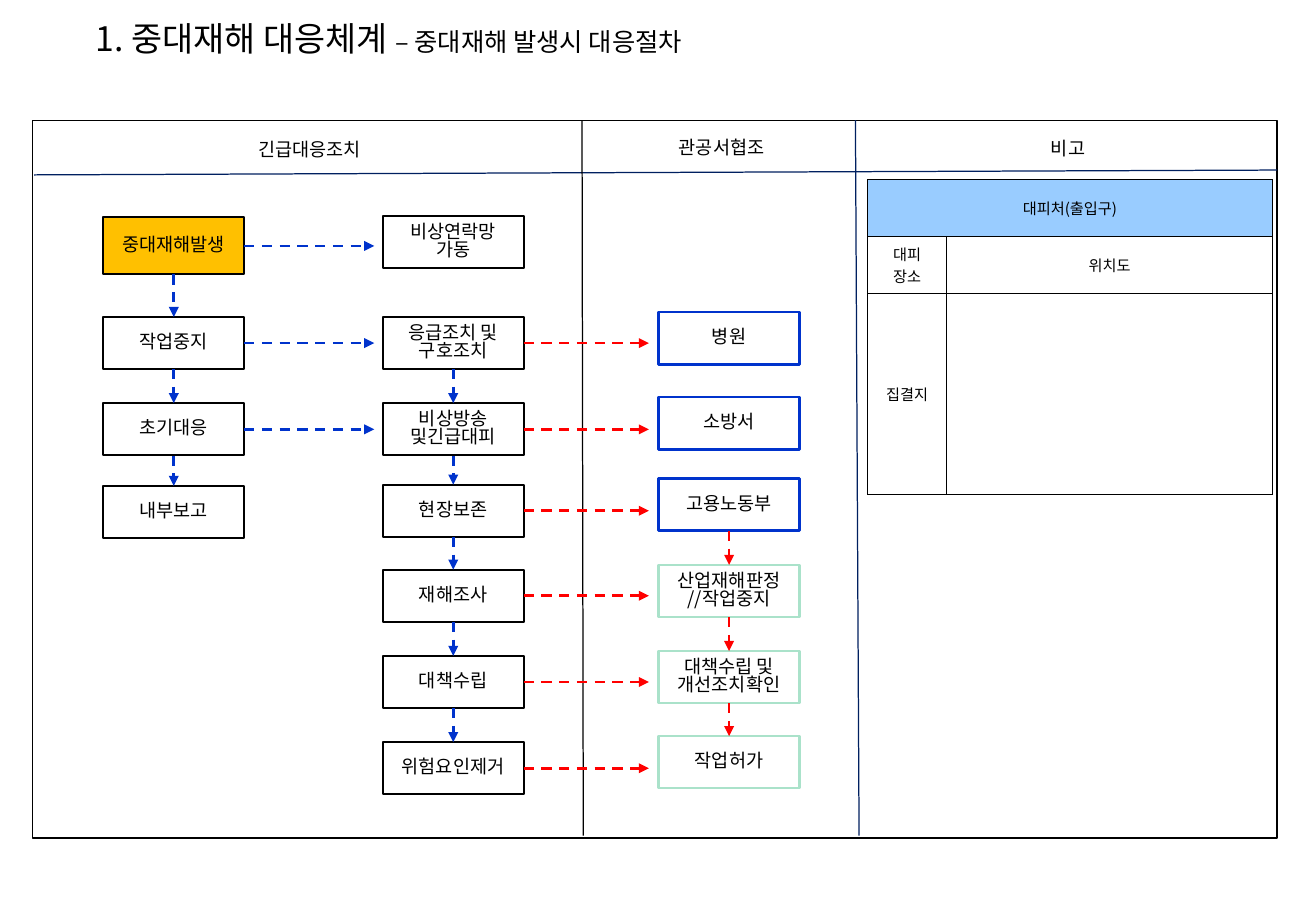
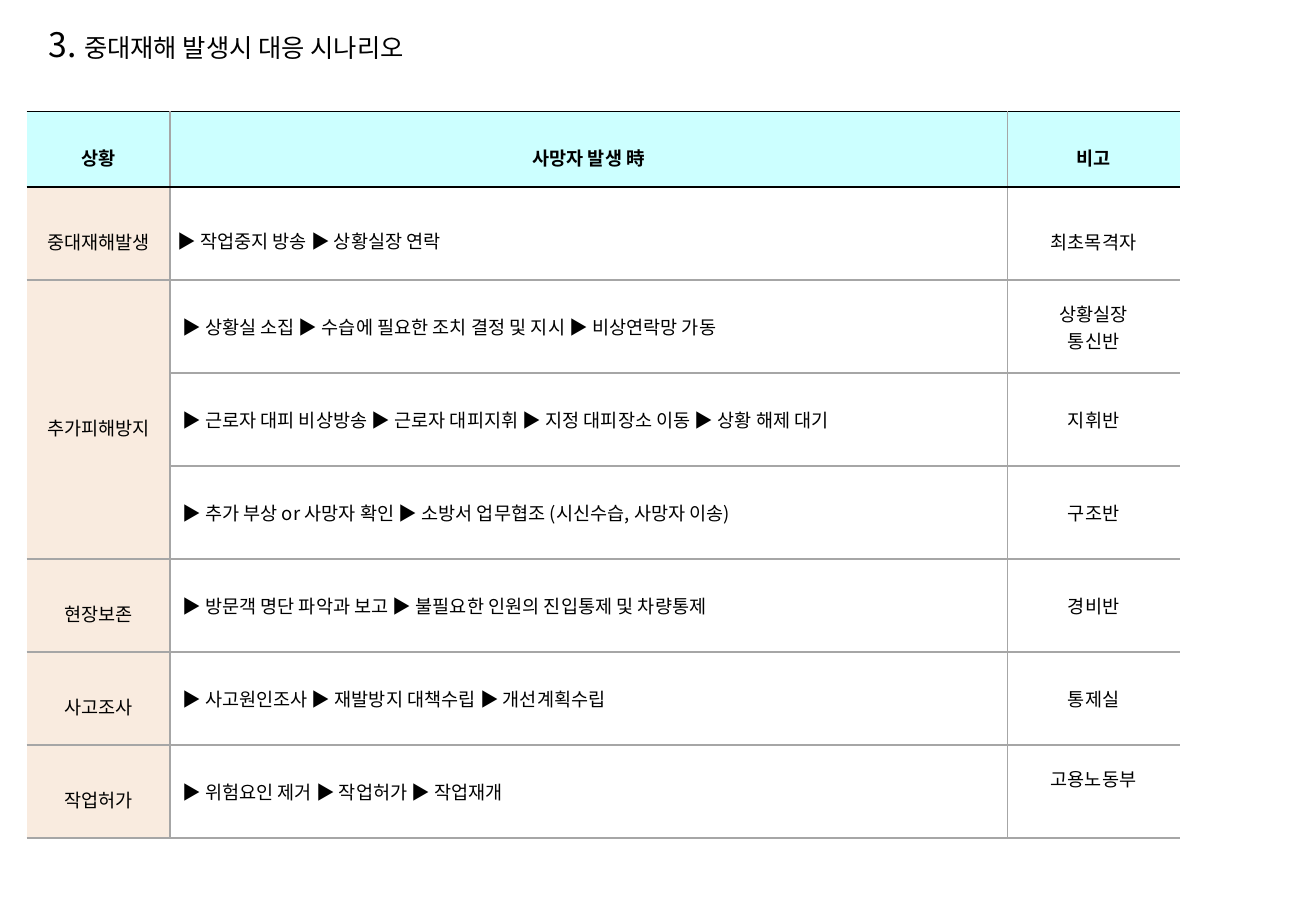
from lxml.etree import SubElement
from pptx import Presentation
from pptx.dml.color import RGBColor
from pptx.enum.dml import MSO_LINE
from pptx.enum.shapes import MSO_CONNECTOR, MSO_SHAPE
from pptx.enum.text import MSO_ANCHOR, PP_ALIGN
from pptx.oxml.ns import qn
from pptx.util import Inches, Pt

FONT = "Noto Sans CJK KR"
C = {
    "black": "000000", "white": "FFFFFF", "navy": "002060", "blue": "0033CC",
    "red": "FF0000", "mint": "AAE2CA", "amber": "FFC000", "sky": "99CCFF",
    "aqua": "CCFFFF", "peach": "F9EBDF", "grey": "A6A6A6",
}
BOX_W, BOX_H = 1.16, 0.43
COL_X = {"action": 0.85, "response": 3.15, "agency": 5.42}
TOP, LEFT, BOTTOM, RIGHT = range(4)


def rgb(name):
    return RGBColor.from_string(C[name])


def write(tf, paragraphs, size=11, bold=False, align=PP_ALIGN.CENTER, spacing=None):
    """Each paragraph is a string or a list of (text, size) runs."""
    for i, runs in enumerate(paragraphs):
        p = tf.paragraphs[0] if i == 0 else tf.add_paragraph()
        p.alignment = align
        if spacing:
            p.line_spacing = spacing
        for text, run_size in [(runs, size)] if isinstance(runs, str) else runs:
            r = p.add_run()
            r.text = text
            r.font.size, r.font.bold, r.font.name = Pt(run_size), bold, FONT
            r.font.color.rgb = rgb("black")
            SubElement(r._r.get_or_add_rPr(), qn("a:ea"), typeface=FONT)


def add_text(s, x, y, w, h, paragraphs, **fmt):
    tf = s.shapes.add_textbox(*map(Inches, (x, y, w, h))).text_frame
    tf.word_wrap = True
    tf.vertical_anchor = MSO_ANCHOR.MIDDLE
    write(tf, paragraphs, **fmt)


def add_title(s, x, y, w, number, rest, **fmt):
    add_text(s, x, y, w, 0.47, [[(number, 20), (rest, 15)]], **fmt)


def add_box(s, x, y, paragraphs=(), w=BOX_W, h=BOX_H, fill="white", line="black", weight=1.25):
    sp = s.shapes.add_shape(MSO_SHAPE.RECTANGLE, *map(Inches, (x, y, w, h)))
    sp.shadow.inherit = False
    if fill:
        sp.fill.solid()
        sp.fill.fore_color.rgb = rgb(fill)
    else:
        sp.fill.background()
    sp.line.color.rgb = rgb(line)
    sp.line.width = Pt(weight)
    sp.text_frame.word_wrap = True
    sp.text_frame.vertical_anchor = MSO_ANCHOR.MIDDLE
    write(sp.text_frame, paragraphs, spacing=0.8)
    return sp


def add_line(s, x1, y1, x2, y2, color, weight=0.75):
    cn = s.shapes.add_connector(MSO_CONNECTOR.STRAIGHT, x1, y1, x2, y2)
    cn.line.color.rgb = rgb(color)
    cn.line.width = Pt(weight)
    SubElement(cn._element.spPr, qn("a:effectLst"))
    return cn


def add_arrow(s, x1, y1, x2, y2, color):
    cn = add_line(s, x1, y1, x2, y2, color, 1.5)
    cn.line.dash_style = MSO_LINE.DASH
    SubElement(cn.line._get_or_add_ln(), qn("a:tailEnd"), type="triangle")
    return cn


def arrow_down(s, a, b, color):
    cn = add_arrow(s, a.left, a.top, b.left, b.top, color)
    cn.begin_connect(a, BOTTOM)
    cn.end_connect(b, TOP)


def arrow_right(s, a, end_x, color):
    y = a.top + a.height // 2
    cn = add_arrow(s, a.left + a.width, y, Inches(end_x), y, color)
    cn.begin_connect(a, RIGHT)


def set_borders(cell, **edges):
    """Each edge (L, R, T, B) is (colour, points), or None for no line."""
    tcPr = cell._tc.get_or_add_tcPr()
    for i, side in enumerate("LRTB"):
        edge = edges[side]
        ln = tcPr.makeelement(qn(f"a:ln{side}"), {})
        if edge:
            ln.set("w", str(Pt(edge[1])))
            SubElement(SubElement(ln, qn("a:solidFill")), qn("a:srgbClr"), val=C[edge[0]])
        else:
            SubElement(ln, qn("a:noFill"))
        tcPr.insert(i, ln)


def add_table(s, x, y, cols, rows):
    frame = s.shapes.add_table(len(rows), len(cols), *map(Inches, (x, y, sum(cols), sum(rows))))
    t = frame.table
    t.first_row = t.horz_banding = False
    for col, w in zip(t.columns, cols):
        col.width = Inches(w)
    for row, h in zip(t.rows, rows):
        row.height = Inches(h)
    return t


def fill_cell(cell, paragraphs, fill=None, margins=None, **fmt):
    """Margins run left, top, right, bottom, in inches."""
    cell.vertical_anchor = MSO_ANCHOR.MIDDLE
    if margins:
        (cell.margin_left, cell.margin_top,
         cell.margin_right, cell.margin_bottom) = map(Inches, margins)
    if fill:
        cell.fill.solid()
        cell.fill.fore_color.rgb = rgb(fill)
    else:
        cell.fill.background()
    write(cell.text_frame, paragraphs, **fmt)


def shelter_table(s):
    t = add_table(s, 7.14, 1.48, [0.65, 2.68], [0.47, 0.47, 1.65])
    t.cell(0, 0).merge(t.cell(0, 1))
    content = [[["대피처(출입구)"], []], [["대피", "장소"], ["위치도"]], [["집결지"], []]]
    edge = ("black", 0.5)
    for r, row in enumerate(content):
        for c, paragraphs in enumerate(row):
            fill_cell(t.cell(r, c), paragraphs, fill=None if r else "sky", size=9)
            set_borders(t.cell(r, c), L=edge, R=edge, T=edge, B=edge)


def procedure_slide(s):
    # Frame and column headings
    add_box(s, 0.27, 0.99, w=10.24, h=5.91, fill=None, weight=0.75)
    for x1, y1, x2, y2, color in [
        (10.51, 1.4, 0.28, 1.44, "navy"),
        (7.04, 0.99, 7.07, 6.88, "navy"),
        (4.79, 0.99, 4.8, 6.88, "black"),
    ]:
        add_line(s, *map(Inches, (x1, y1, x2, y2)), color)
    for x, y, w, text in [
        (1.97, 1.05, 1.16, "긴급대응조치"),
        (5.36, 1.03, 1.16, "관공서협조"),
        (7.07, 1.04, 3.44, "비고"),
    ]:
        add_text(s, x, y, w, 0.36, [text])

    # Flow boxes
    actions = [add_box(s, COL_X["action"], 1.79, ["중대재해발생"], h=0.47, fill="amber")]
    for y, text in [(2.61, "작업중지"), (3.32, "초기대응"), (4, "내부보고")]:
        actions.append(add_box(s, COL_X["action"], y, [text]))
    responses = [add_box(s, COL_X["response"], y, [text]) for y, text in [
        (1.78, "비상연락망 가동"), (2.61, "응급조치 및 구호조치"),
        (3.32, "비상방송 및긴급대피"), (3.99, "현장보존"), (4.69, "재해조사"),
        (5.4, "대책수립"), (6.11, "위험요인제거"),
    ]]
    agencies = [add_box(s, COL_X["agency"], y, lines, line=color, weight=1.5)
                for y, color, *lines in [
        (2.57, "blue", "병원"), (3.27, "blue", "소방서"), (3.94, "blue", "고용노동부"),
        (4.65, "mint", "산업재해판정", "//작업중지"),
        (5.36, "mint", "대책수립 및 개선조치확인"), (6.06, "mint", "작업허가"),
    ]]

    # Arrows down each column, then across to the next
    for chain, color in [(actions, "blue"), (responses[1:], "blue"), (agencies[2:], "red")]:
        for a, b in zip(chain, chain[1:]):
            arrow_down(s, a, b, color)
    for a in actions[:3]:
        arrow_right(s, a, 3.08, "blue")
    for a in responses[1:]:
        arrow_right(s, a, 5.34, "red")

    shelter_table(s)
    add_title(s, 0.11, 0.08, 6.18, "1. 중대재해 대응체계 ", "– 중대재해 발생시 대응절차")


def scenario_slide(s):
    add_title(s, 0.3, 0.13, 8.03, "3. ", "중대재해 발생시 대응 시나리오", align=PP_ALIGN.LEFT)
    content = [
        ("상황", "사망자 발생 時", ["비고"]),
        ("중대재해발생", "▶ 작업중지 방송 ▶ 상황실장 연락", ["최초목격자"]),
        ("추가피해방지", "▶ 상황실 소집 ▶ 수습에 필요한 조치 결정 및 지시 ▶ 비상연락망 가동",
         ["상황실장", "통신반"]),
        ("", "▶ 근로자 대피 비상방송 ▶ 근로자 대피지휘 ▶ 지정 대피장소 이동 ▶ 상황 해제 대기",
         ["지휘반"]),
        ("", "▶ 추가 부상 or 사망자 확인 ▶ 소방서 업무협조 (시신수습, 사망자 이송)", ["구조반"]),
        ("현장보존", "▶ 방문객 명단 파악과 보고 ▶ 불필요한 인원의 진입통제 및 차량통제", ["경비반"]),
        ("사고조사", "▶ 사고원인조사 ▶ 재발방지 대책수립 ▶ 개선계획수립", ["통제실"]),
        ("작업허가", "▶ 위험요인 제거 ▶ 작업허가 ▶ 작업재개", ["고용노동부"]),
    ]
    head_h, last = 0.62, len(content) - 1
    t = add_table(s, 0.22, 0.92, [1.18, 6.89, 1.42], [head_h] + [(5.98 - head_h) / last] * last)
    t.cell(2, 0).merge(t.cell(4, 0))
    tight = dict(margins=(0.01,) * 4, spacing=1.6)
    verticals = [None, ("grey", 1), ("grey", 0.5), None]
    for r, (situation, steps, team) in enumerate(content):
        head = r == 0
        # Situation
        fill_cell(t.cell(r, 0), [situation] if situation else [],
                  fill="aqua" if head else "peach", bold=head, **tight)
        # Steps
        if head:
            step_fmt = dict(fill="aqua", bold=True, **tight)
        elif r == 1:
            step_fmt = dict(margins=(0.06, 0.01, 0.01, 0.01), spacing=1.5, align=PP_ALIGN.LEFT)
        else:
            step_fmt = dict(align=PP_ALIGN.LEFT)
        fill_cell(t.cell(r, 1), [steps], **step_fmt)
        # Team in charge; the last one sits higher in its cell
        if r < 2:
            team_fmt = dict(fill="aqua" if head else None, bold=head, **tight)
        else:
            team_fmt = dict(margins=(0.1, 0.05, 0.1, 0.27 if r == last else 0.05))
        fill_cell(t.cell(r, 2), team, **team_fmt)
        for c in range(3):
            set_borders(t.cell(r, c), L=verticals[c], R=verticals[c + 1],
                        T=("black" if r < 2 else "grey", 1), B=("black" if head else "grey", 1))


def main():
    prs = Presentation()
    prs.slide_width, prs.slide_height = Inches(10.83), Inches(7.5)
    for build in (procedure_slide, scenario_slide):
        build(prs.slides.add_slide(prs.slide_layouts[6]))
    prs.save("out.pptx")


if __name__ == "__main__":
    main()
